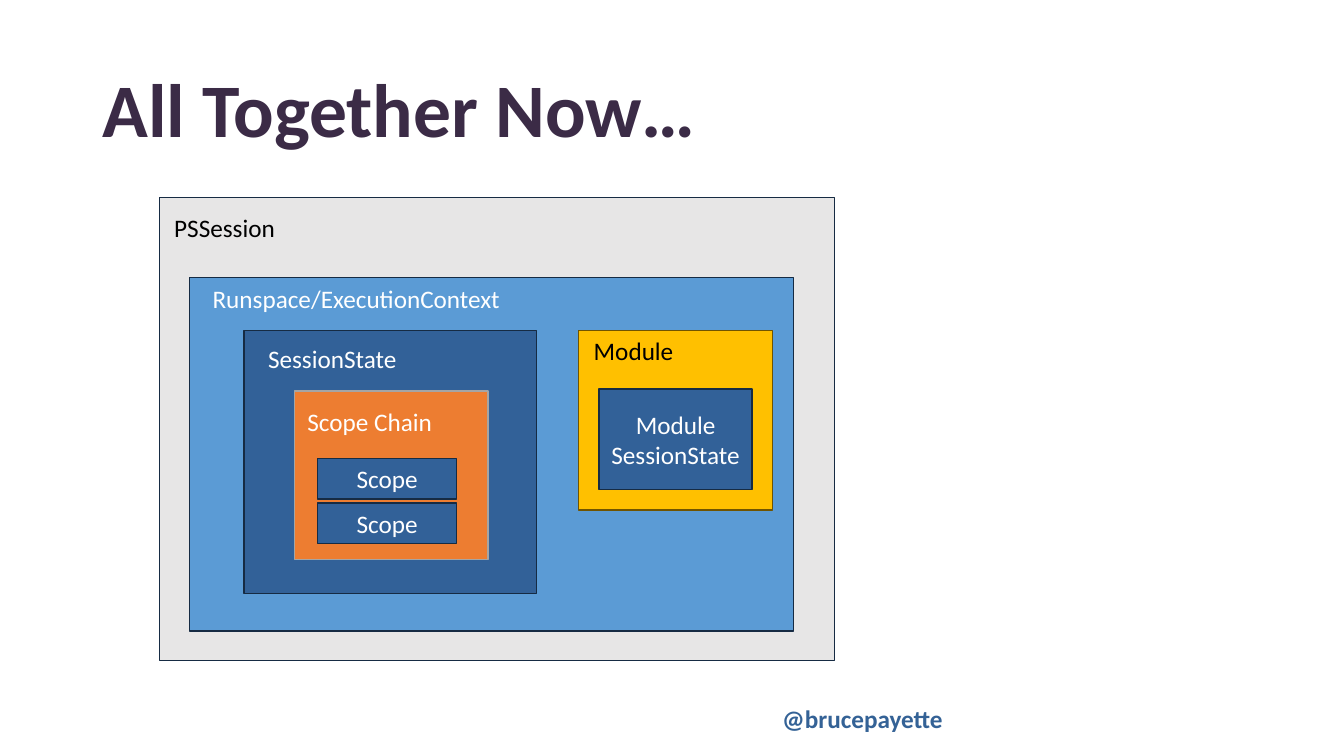
import pptx
import pptx.util
import pptx.dml.color
import pptx.enum.shapes
import pptx.enum.text

Inches = pptx.util.Inches
RGBColor = pptx.dml.color.RGBColor
ANCHOR = pptx.enum.text.MSO_ANCHOR
ALIGN = pptx.enum.text.PP_ALIGN

BLACK = RGBColor(0x00, 0x00, 0x00)
WHITE = RGBColor(0xFF, 0xFF, 0xFF)
PLUM = RGBColor(0x3B, 0x2B, 0x46)
HANDLE_BLUE = RGBColor(0x34, 0x62, 0x96)
GREY = RGBColor(0xE7, 0xE6, 0xE6)
SKY = RGBColor(0x5B, 0x9B, 0xD5)
BLUE = RGBColor(0x32, 0x61, 0x98)
ORANGE = RGBColor(0xED, 0x7D, 0x31)
GOLD = RGBColor(0xFF, 0xC0, 0x00)
NAVY_EDGE = RGBColor(0x16, 0x2B, 0x43)
GREY_EDGE = RGBColor(0xA5, 0xA5, 0xA5)
GOLD_EDGE = RGBColor(0x70, 0x54, 0x00)


def write(frame, text, color, size=18, bold=False):
    """Put one run of styled text in a frame and return its paragraph."""
    frame.word_wrap = True
    para = frame.paragraphs[0]
    span = para.add_run()
    span.text = text
    span.font.name = "Calibri"
    span.font.size = pptx.util.Pt(size)
    span.font.bold = bold
    span.font.color.rgb = color
    return para


def add_label(page, text, left, top, width, color, height=0.4, size=18, bold=False):
    """Add a left-aligned text box."""
    box = page.shapes.add_textbox(Inches(left), Inches(top), Inches(width), Inches(height))
    box.text_frame.vertical_anchor = ANCHOR.MIDDLE
    return write(box.text_frame, text, color, size, bold)


def add_block(page, left, top, width, height, fill, edge=NAVY_EDGE, text=None):
    """Add a filled rectangle with optional centred text."""
    box = page.shapes.add_shape(
        pptx.enum.shapes.MSO_SHAPE.RECTANGLE,
        Inches(left), Inches(top), Inches(width), Inches(height))
    box.shadow.inherit = False
    box.fill.solid()
    box.fill.fore_color.rgb = fill
    box.line.color.rgb = edge
    box.line.width = pptx.util.Pt(1)
    if text:
        box.text_frame.vertical_anchor = ANCHOR.MIDDLE
        write(box.text_frame, text, WHITE).alignment = ALIGN.CENTER


def main():
    """Build the nested session diagram and save it."""
    deck = pptx.Presentation()
    deck.slide_width = Inches(13.33)
    deck.slide_height = Inches(7.5)
    page = deck.slides.add_slide(deck.slide_layouts[6])

    add_label(page, "@brucepayette", 7.66, 6.93, 2.49, HANDLE_BLUE, bold=True)
    title = add_label(page, "All Together Now…", 0.92, 0.4, 10.64, PLUM, 1.45, 54, True)
    title.line_spacing = 0.9

    add_block(page, 1.58, 1.96, 6.7, 4.59, GREY)
    add_label(page, "PSSession", 1.63, 2.06, 1.3, BLACK)
    add_block(page, 1.88, 2.75, 5.99, 3.51, SKY)
    add_label(page, "Runspace/ExecutionContext", 2.01, 2.76, 3.29, WHITE)

    add_block(page, 2.42, 3.28, 2.9, 2.61, BLUE)
    add_label(page, "SessionState", 2.56, 3.36, 2.82, WHITE)
    add_block(page, 2.92, 3.88, 1.92, 1.67, ORANGE, GREY_EDGE)
    add_label(page, "Scope Chain", 2.95, 3.98, 1.92, WHITE)
    for top in (4.55, 4.99):
        add_block(page, 3.15, top, 1.38, 0.4, BLUE, text="Scope")

    add_block(page, 5.74, 3.28, 1.92, 1.78, GOLD, GOLD_EDGE)
    add_label(page, "Module", 5.79, 3.28, 1.38, BLACK)
    add_block(page, 5.94, 3.86, 1.52, 1, BLUE, text="Module SessionState")

    deck.save("out.pptx")


if __name__ == "__main__":
    main()
